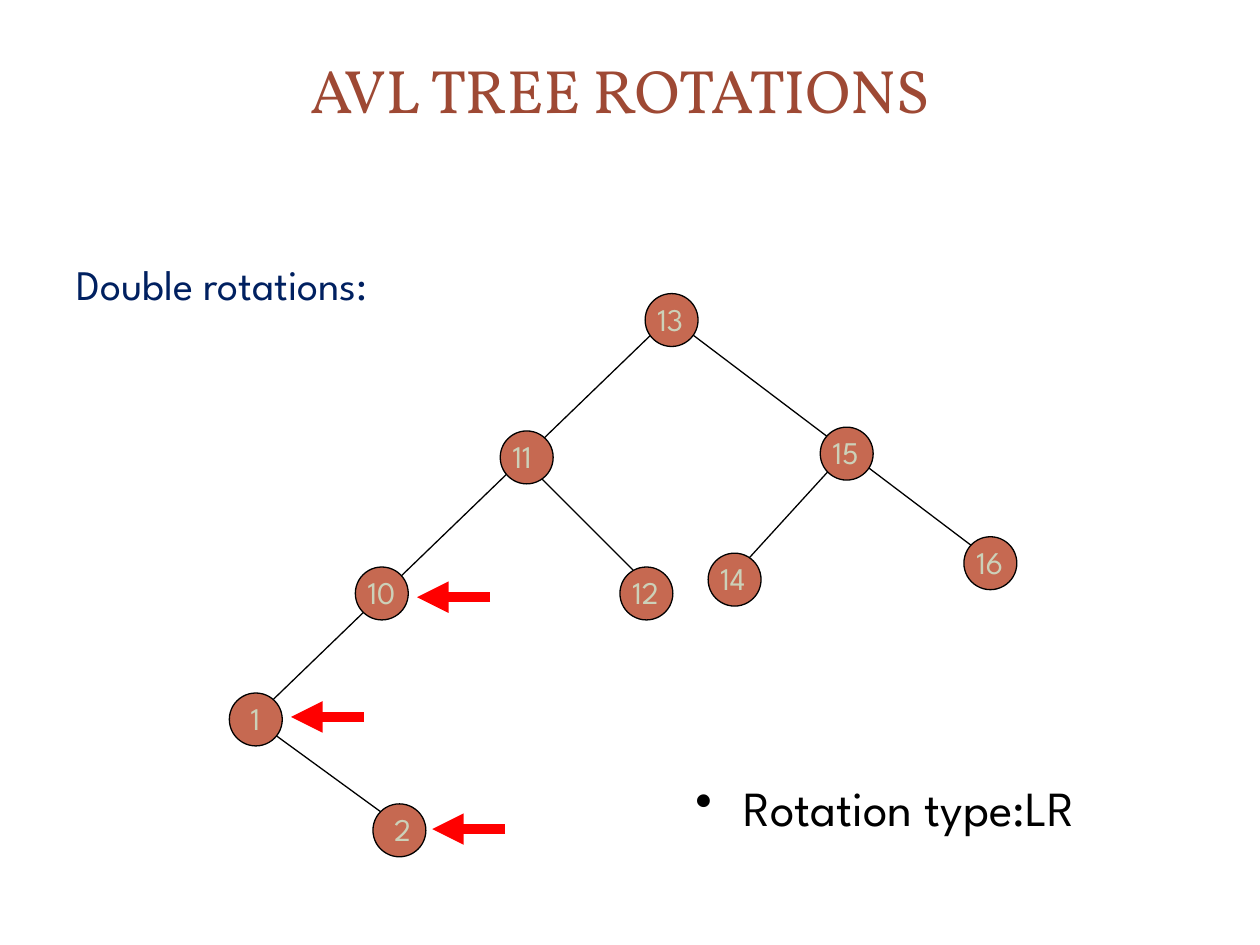
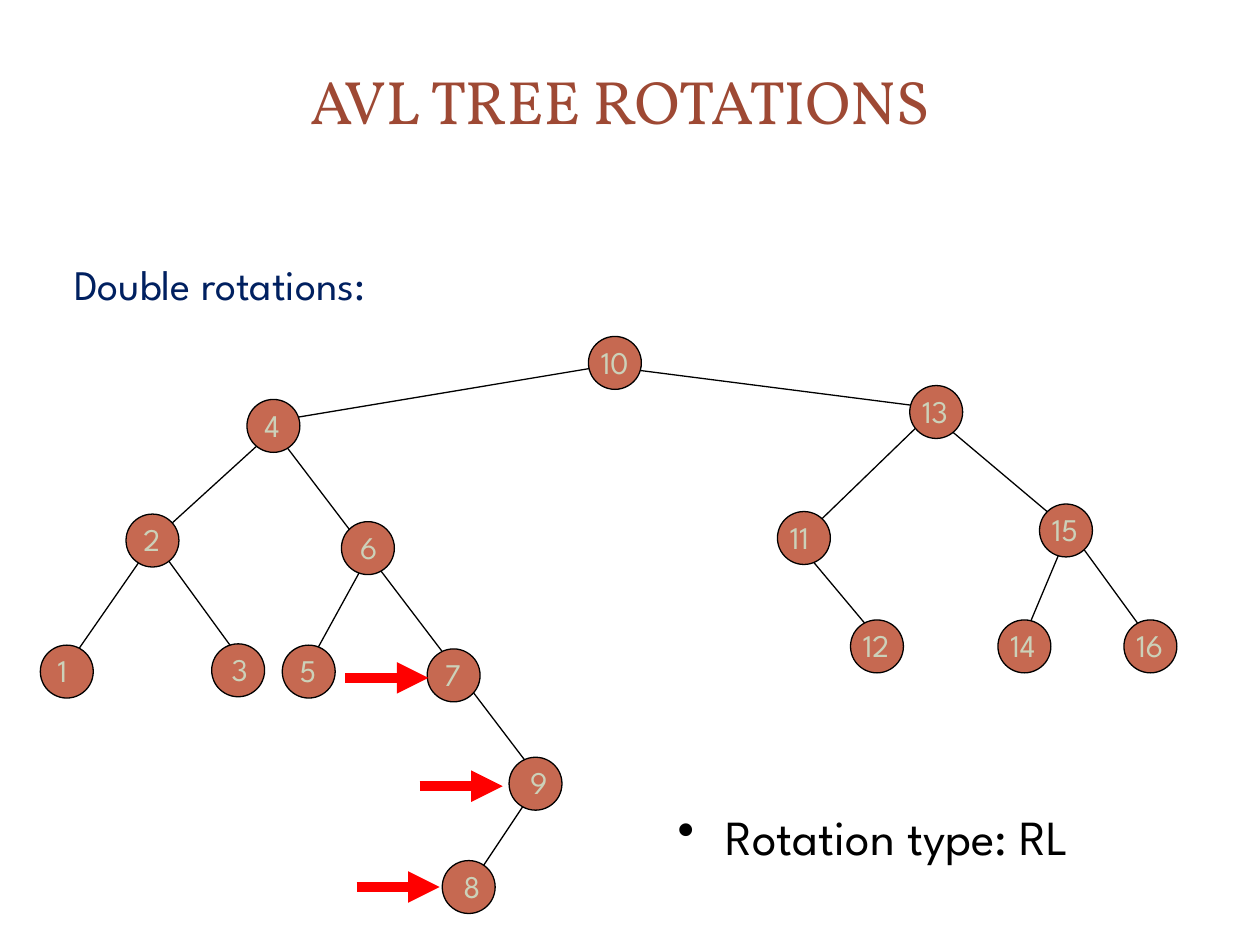
from dataclasses import dataclass
from typing import NamedTuple

from lxml import etree
from pptx import Presentation
from pptx.dml.color import RGBColor
from pptx.enum import shapes, text
from pptx.oxml import ns
from pptx.util import Emu, Pt

PX = 9144  # EMU per px, 100 px to the inch


# Theme
@dataclass(frozen=True)
class Theme:
    title_font: str = "Vollkorn"
    body_font: str = "League Spartan"
    title: str = "9E4934"
    heading: str = "002060"
    ink: str = "000000"
    node: str = "C66951"
    label: str = "CCD1B9"
    arrow: str = "FF0000"
    title_size: int = 35
    heading_size: int = 24
    note_size: int = 28
    label_size: int = 18
    edge_width: float = 0.75
    arrow_width: float = 6


THEME = Theme()
NODE_SIZE = 42


# Parts of a tree page
class Frame(NamedTuple):
    left: int
    top: int
    width: int
    height: int


class Style(NamedTuple):
    font: str
    size: int
    color: str


class Edge(NamedTuple):
    x1: int
    y1: int
    x2: int
    y2: int


class Node(NamedTuple):
    key: str
    left: int
    top: int
    shift: int = 0  # moves the key to the right inside the circle


class Tip(NamedTuple):
    x: int
    y: int


@dataclass(frozen=True)
class TreePage:
    title_frame: Frame
    heading_frame: Frame
    note: str
    note_frame: Frame
    edges: list[Edge]
    nodes: list[Node]
    tips: list[Tip]
    tail_offset: int  # from arrow tip to arrow start


TITLE = Style(THEME.title_font, THEME.title_size, THEME.title)
HEADING = Style(THEME.body_font, THEME.heading_size, THEME.heading)
NOTE = Style(THEME.body_font, THEME.note_size, THEME.ink)
LABEL = Style(THEME.body_font, THEME.label_size, THEME.label)

PAGES = [
    TreePage(
        title_frame=Frame(67, 17, 850, 108),
        heading_frame=Frame(38, 200, 933, 67),
        note="Rotation type:LR",
        note_frame=Frame(542, 612, 429, 67),
        edges=[
            Edge(419, 369, 519, 469),
            Edge(196, 567, 321, 658),
            Edge(672, 358, 589, 449),
            Edge(188, 583, 533, 250),
            Edge(529, 250, 771, 433),
        ],
        nodes=[
            Node("13", 512, 233),
            Node("15", 651, 339),
            Node("16", 765, 426),
            Node("11", 397, 342),
            Node("14", 562, 439),
            Node("10", 282, 450),
            Node("12", 492, 450),
            Node("1", 182, 550, 7),
            Node("2", 296, 638, 7),
        ],
        tips=[Tip(331, 474), Tip(343, 658), Tip(231, 569)],
        tail_offset=58,
    ),
    TreePage(
        title_frame=Frame(67, 17, 850, 125),
        heading_frame=Frame(36, 200, 383, 67),
        note="Rotation type: RL",
        note_frame=Frame(528, 635, 429, 67),
        edges=[
            Edge(292, 442, 242, 533),
            Edge(425, 625, 375, 700),
            Edge(125, 425, 50, 533),
            Edge(125, 433, 192, 525),
            Edge(217, 342, 117, 433),
            Edge(850, 422, 917, 514),
            Edge(633, 431, 700, 511),
            Edge(492, 292, 750, 325),
            Edge(225, 333, 489, 289),
            Edge(850, 417, 808, 517),
            Edge(211, 333, 433, 625),
            Edge(742, 325, 650, 414),
            Edge(742, 331, 850, 422),
        ],
        nodes=[
            Node("10", 467, 267),
            Node("13", 722, 306),
            Node("15", 825, 400),
            Node("4", 196, 317, 4),
            Node("11", 617, 406),
            Node("2", 100, 408, 4),
            Node("6", 271, 414, 5),
            Node("7", 339, 515, 4),
            Node("12", 675, 492),
            Node("14", 792, 492),
            Node("16", 892, 492),
            Node("3", 168, 511, 6),
            Node("1", 32, 512, 4),
            Node("5", 224, 512, 4),
            Node("9", 404, 601, 7),
            Node("8", 351, 683, 7),
        ],
        tips=[Tip(340, 538), Tip(399, 624), Tip(349, 704)],
        tail_offset=-66,
    ),
]


# Drawing functions
def px(value: int) -> Emu:
    return Emu(value * PX)


def color(value: str) -> RGBColor:
    return RGBColor.from_string(value)


def add_text(page, frame: Frame, words: str, style: Style,
             margin: int = 0, indent: int = 0, bullet: str = "",
             centered: bool = False):
    box = page.shapes.add_textbox(*map(px, frame))
    box.text_frame.word_wrap = True
    para = box.text_frame.paragraphs[0]
    if margin:
        properties = para._p.get_or_add_pPr()
        properties.set("marL", str(px(margin)))
        properties.set("indent", str(px(indent)))
        if bullet:
            etree.SubElement(properties, ns.qn("a:buChar"), char=bullet)
    if centered:
        box.text_frame.vertical_anchor = text.MSO_ANCHOR.MIDDLE
        para.alignment = text.PP_ALIGN.CENTER
    span = para.add_run()
    span.text = words
    span.font.name = style.font
    span.font.size = Pt(style.size)
    span.font.color.rgb = color(style.color)
    return box


def add_line(page, edge: Edge, line_color: str, width: float,
             arrowhead: bool = False) -> None:
    line = page.shapes.add_connector(
        shapes.MSO_CONNECTOR.STRAIGHT, *map(px, edge))
    line.line.color.rgb = color(line_color)
    line.line.width = Pt(width)
    if arrowhead:
        etree.SubElement(line.line._get_or_add_ln(), ns.qn("a:tailEnd"),
                         type="triangle")
    etree.SubElement(line._element.spPr, ns.qn("a:effectLst"))


def add_node(page, node: Node) -> None:
    circle = page.shapes.add_shape(
        shapes.MSO_SHAPE.OVAL,
        *map(px, (node.left, node.top, NODE_SIZE, NODE_SIZE)))
    circle.shadow.inherit = False
    circle.fill.solid()
    circle.fill.fore_color.rgb = color(THEME.node)
    circle.line.color.rgb = color(THEME.ink)
    circle.line.width = Pt(THEME.edge_width)
    label = add_text(page, Frame(node.left + node.shift, node.top, 50, 40),
                     node.key, LABEL)
    label.text_frame.auto_size = text.MSO_AUTO_SIZE.SHAPE_TO_FIT_TEXT


def add_tree_page(deck, tree: TreePage) -> None:
    page = deck.slides.add_slide(deck.slide_layouts[6])
    # Edges lie behind the nodes
    for edge in tree.edges:
        add_line(page, edge, THEME.ink, THEME.edge_width)
    # Wording
    add_text(page, tree.title_frame, "AVL TREE ROTATIONS", TITLE,
             centered=True)
    add_text(page, tree.heading_frame, "Double rotations:", HEADING,
             margin=38, indent=-25)
    add_text(page, tree.note_frame, tree.note, NOTE,
             margin=38, indent=-38, bullet="•")
    # Nodes, then the arrows marking the rotated ones
    for node in tree.nodes:
        add_node(page, node)
    for tip in tree.tips:
        add_line(page, Edge(tip.x + tree.tail_offset, tip.y, tip.x, tip.y),
                 THEME.arrow, THEME.arrow_width, arrowhead=True)


def main() -> None:
    deck = Presentation()
    deck.slide_width = px(1000)
    deck.slide_height = px(750)
    for tree in PAGES:
        add_tree_page(deck, tree)
    deck.save("out.pptx")


if __name__ == "__main__":
    main()
